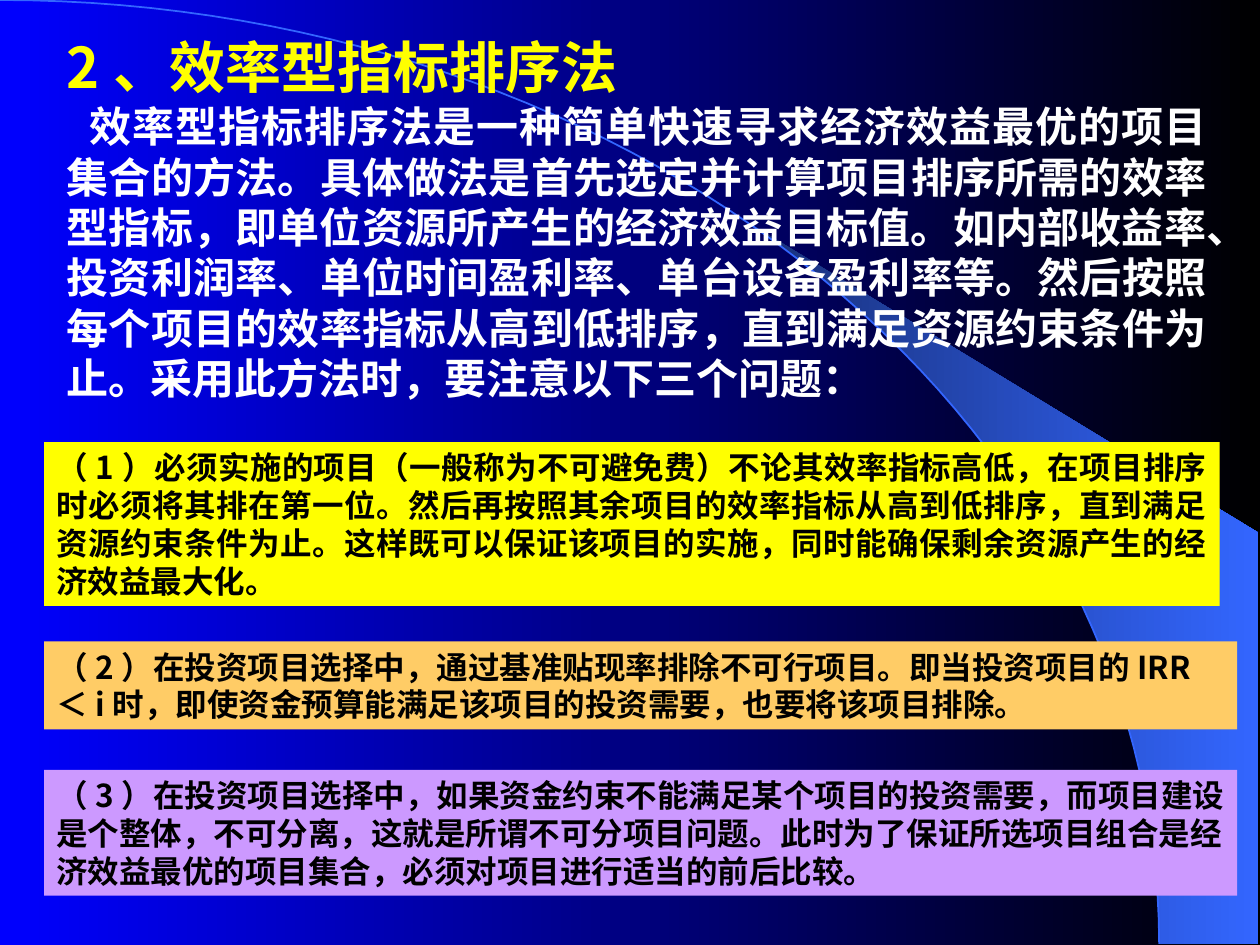
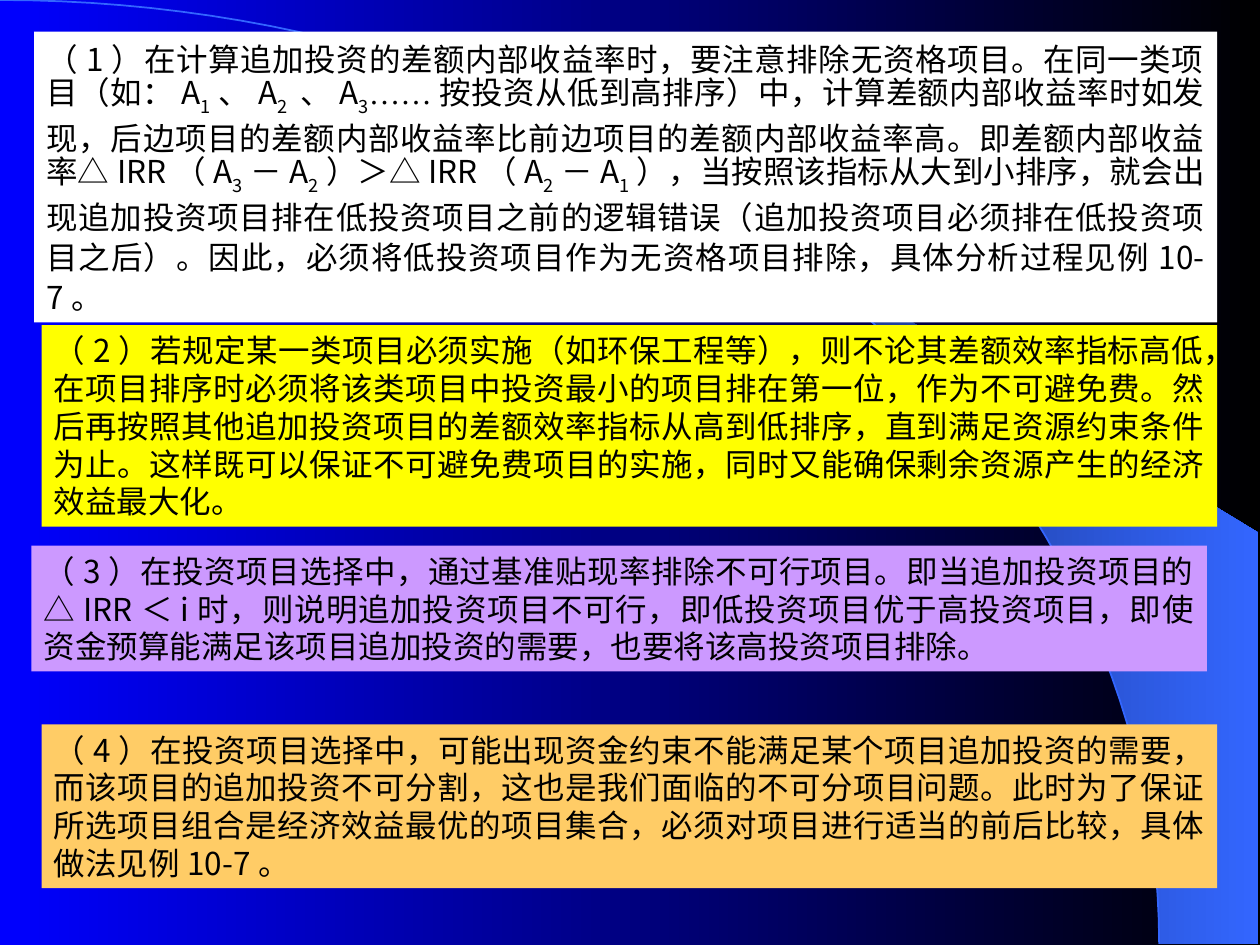
from math import asin, cos, pi, sin

from lxml.etree import SubElement
from pptx import Presentation
from pptx.dml.color import RGBColor
from pptx.enum.lang import MSO_LANGUAGE_ID
from pptx.enum.shapes import MSO_SHAPE
from pptx.enum.text import MSO_ANCHOR, MSO_AUTO_SIZE, PP_ALIGN
from pptx.oxml.ns import qn
from pptx.util import Inches, Pt

COLORS = {
    "blue": "0000FF",
    "black": "000000",
    "white": "FFFFFF",
    "yellow": "FFFF00",
    "orange": "FFCC66",
    "purple": "CC99FF",
    "band_dark": "182F76",
    "band_light": "3366FF",
}
FONT = "Noto Sans CJK SC"
ELLIPSIS_FONT = "Times New Roman"
ARC_WIDTH, ARC_HEIGHT = 9.2, 7.49
BAND_LEFT, BAND_RIGHT, BAND_RIGHT_TOP = 5.89, 9.99, 4.23
TITLE_ONLY, BLANK = 5, 6

TITLE = "2、效率型指标排序法"
INTRODUCTION = (
    "效率型指标排序法是一种简单快速寻求经济效益最优的项目集合的方法。"
    "具体做法是首先选定并计算项目排序所需的效率型指标，即单位资源所产生的经济效益目标值。"
    "如内部收益率、投资利润率、单位时间盈利率、单台设备盈利率等。"
    "然后按照每个项目的效率指标从高到低排序，直到满足资源约束条件为止。"
    "采用此方法时，要注意以下三个问题：")
MANDATORY_PROJECTS = (
    "（1）必须实施的项目（一般称为不可避免费）不论其效率指标高低，"
    "在项目排序时必须将其排在第一位。然后再按照其余项目的效率指标从高到低排序，"
    "直到满足资源约束条件为止。这样既可以保证该项目的实施，"
    "同时能确保剩余资源产生的经济效益最大化。")
INFEASIBLE_PROJECTS = (
    "（2）在投资项目选择中，通过基准贴现率排除不可行项目。即当投资项目的IRR＜i时，"
    "即使资金预算能满足该项目的投资需要，也要将该项目排除。")
INDIVISIBLE_PROJECTS = (
    "（3）在投资项目选择中，如果资金约束不能满足某个项目的投资需要，"
    "而项目建设是个整体，不可分离，这就是所谓不可分项目问题。"
    "此时为了保证所选项目组合是经济效益最优的项目集合，必须对项目进行适当的前后比较。")
UNQUALIFIED_PROJECTS = (
    "（1）在计算追加投资的差额内部收益率时，要注意排除无资格项目。"
    "在同一类项目（如：A|_1|、A|_2 |、A|_3|……|按投资从低到高排序）中，"
    "计算差额内部收益率时如发现，后边项目的差额内部收益率比前边项目的差额内部收益率高。"
    "即差额内部收益率△IRR（A|_3|－A|_2|）＞△IRR（A|_2|－A|_1|），"
    "当按照该指标从大到小排序，就会出现追加投资项目排在低投资项目之前的逻辑错误"
    "（追加投资项目必须排在低投资项目之后）。"
    "因此，必须将低投资项目作为无资格项目排除，具体分析过程见例10-7。")
REQUIRED_CATEGORY = (
    "（2）若规定某一类项目必须实施（如环保工程等），则不论其差额效率指标高低，"
    "在项目排序时必须将该类项目中投资最小的项目排在第一位，作为不可避免费。"
    "然后再按照其他追加投资项目的差额效率指标从高到低排序，直到满足资源约束条件为止。"
    "这样既可以保证不可避免费项目的实施，同时又能确保剩余资源产生的经济效益最大化。")
INFEASIBLE_ADDITIONS = (
    "（3）在投资项目选择中，通过基准贴现率排除不可行项目。"
    "即当追加投资项目的△IRR＜i时，则说明追加投资项目不可行，"
    "即低投资项目优于高投资项目，即使资金预算能满足该项目追加投资的需要，"
    "也要将该高投资项目排除。")
INDIVISIBLE_ADDITIONS = (
    "（4）在投资项目选择中，可能出现资金约束不能满足某个项目追加投资的需要，"
    "而该项目的追加投资不可分割，这也是我们面临的不可分项目问题。"
    "此时为了保证所选项目组合是经济效益最优的项目集合，"
    "必须对项目进行适当的前后比较，具体做法见例10-7。")


def rgb(name):
    return RGBColor.from_string(COLORS[name])


def fill_gradient(fill, start, end):
    fill.gradient()
    fill.gradient_angle = 0
    for stop, color in zip(fill.gradient_stops, (start, end)):
        stop.color.rgb = rgb(color)


def write_text(shape, text, size=18, color="black", bold=False,
               align=PP_ALIGN.JUSTIFY, indent=0, spacing=1.2):
    """Write one paragraph; "|" separates runs and a leading "_" marks a subscript."""
    frame = shape.text_frame
    frame.word_wrap = True
    frame.auto_size = MSO_AUTO_SIZE.NONE
    frame.vertical_anchor = MSO_ANCHOR.TOP
    frame.margin_left = frame.margin_right = Inches(0.1)
    frame.margin_top = frame.margin_bottom = Inches(0.05)
    paragraph = frame.paragraphs[0]
    paragraph.alignment = align
    paragraph.line_spacing = Pt(size * spacing)
    paragraph.space_before = Pt(0)
    if indent:
        paragraph._p.get_or_add_pPr().set("indent", str(Inches(indent)))
    for piece in text.split("|"):
        run = paragraph.add_run()
        run.text = piece.removeprefix("_")
        font = run.font
        font.size, font.bold = Pt(size), bold
        font.color.rgb = rgb(color)
        font.language_id = MSO_LANGUAGE_ID.SIMPLIFIED_CHINESE
        font.name = ELLIPSIS_FONT if piece == "……" else FONT
        properties = run._r.get_or_add_rPr()
        SubElement(properties, qn("a:ea")).set("typeface", font.name)
        if piece.startswith("_"):
            properties.set("baseline", "-30000")


def arc_points(start_angle, steps=60):
    """Points on the quarter ellipse, from start_angle to its lower right end."""
    angles = (start_angle + (pi / 2 - start_angle) * i / steps
              for i in range(steps + 1))
    return [(ARC_WIDTH * sin(a), ARC_HEIGHT * (1 - cos(a))) for a in angles]


def add_outline(slide, points, close):
    start, *rest = [(Inches(x), Inches(y)) for x, y in points]
    builder = slide.shapes.build_freeform(*start)
    builder.add_line_segments(rest, close=close)
    shape = builder.convert_to_shape()
    shape.shadow.inherit = False
    return shape


def add_backdrop(slide):
    band_edge = arc_points(asin(BAND_LEFT / ARC_WIDTH))
    corners = [(BAND_RIGHT, ARC_HEIGHT), (BAND_RIGHT, BAND_RIGHT_TOP)]
    band = add_outline(slide, band_edge + corners, close=True)
    fill_gradient(band.fill, "band_dark", "band_light")
    band.line.fill.background()
    arc = add_outline(slide, arc_points(0), close=False)
    arc.fill.background()
    arc.line.color.rgb = rgb("band_light")
    arc.line.width = Pt(1)


def add_slide(presentation, layout):
    slide = presentation.slides.add_slide(presentation.slide_layouts[layout])
    add_backdrop(slide)
    return slide


def add_title(slide, text, left, top, width, height):
    title = slide.shapes.title
    title.left, title.top = Inches(left), Inches(top)
    title.width, title.height = Inches(width), Inches(height)
    write_text(title, text, size=32, color="yellow", bold=True)
    slide.shapes._spTree.append(title._element)


def add_body(slide, text, left, top, width, height):
    box = slide.shapes.add_textbox(*map(Inches, (left, top, width, height)))
    write_text(box, text, size=24, color="white", bold=True, indent=0.18)


def add_note_box(slide, text, color, left, top, width, height, **text_format):
    box = slide.shapes.add_shape(
        MSO_SHAPE.RECTANGLE, *map(Inches, (left, top, width, height)))
    box.shadow.inherit = False
    box.fill.solid()
    box.fill.fore_color.rgb = rgb(color)
    box.line.fill.background()
    write_text(box, text, **text_format)


def add_ranking_method_slide(presentation):
    slide = add_slide(presentation, TITLE_ONLY)
    add_title(slide, TITLE, 0.43, 0.21, 9.25, 0.6)
    add_body(slide, INTRODUCTION, 0.43, 0.75, 9.25, 2.5)
    add_note_box(slide, MANDATORY_PROJECTS, "yellow", 0.35, 3.51, 9.33, 1.3, bold=True)
    for text, color, top, height in (
            (INFEASIBLE_PROJECTS, "orange", 5.09, 0.7),
            (INDIVISIBLE_PROJECTS, "purple", 6.11, 1)):
        add_note_box(slide, text, color, 0.35, top, 9.47, height,
                     bold=True, align=PP_ALIGN.LEFT)


def add_additional_investment_slide(presentation):
    slide = add_slide(presentation, BLANK)
    add_note_box(slide, UNQUALIFIED_PROJECTS, "white", 0.27, 0.25, 9.39, 2.31,
                 spacing=1.26)
    for text, color, left, top, height in (
            (REQUIRED_CATEGORY, "yellow", 0.33, 2.58, 1.6),
            (INFEASIBLE_ADDITIONS, "purple", 0.25, 4.33, 1),
            (INDIVISIBLE_ADDITIONS, "orange", 0.33, 5.75, 1.3)):
        add_note_box(slide, text, color, left, top, 9.33, height)


def main():
    presentation = Presentation()
    presentation.slide_width, presentation.slide_height = Inches(10), Inches(7.5)
    fill_gradient(presentation.slide_master.background.fill, "blue", "black")
    add_ranking_method_slide(presentation)
    add_additional_investment_slide(presentation)
    presentation.save("out.pptx")


if __name__ == "__main__":
    main()
